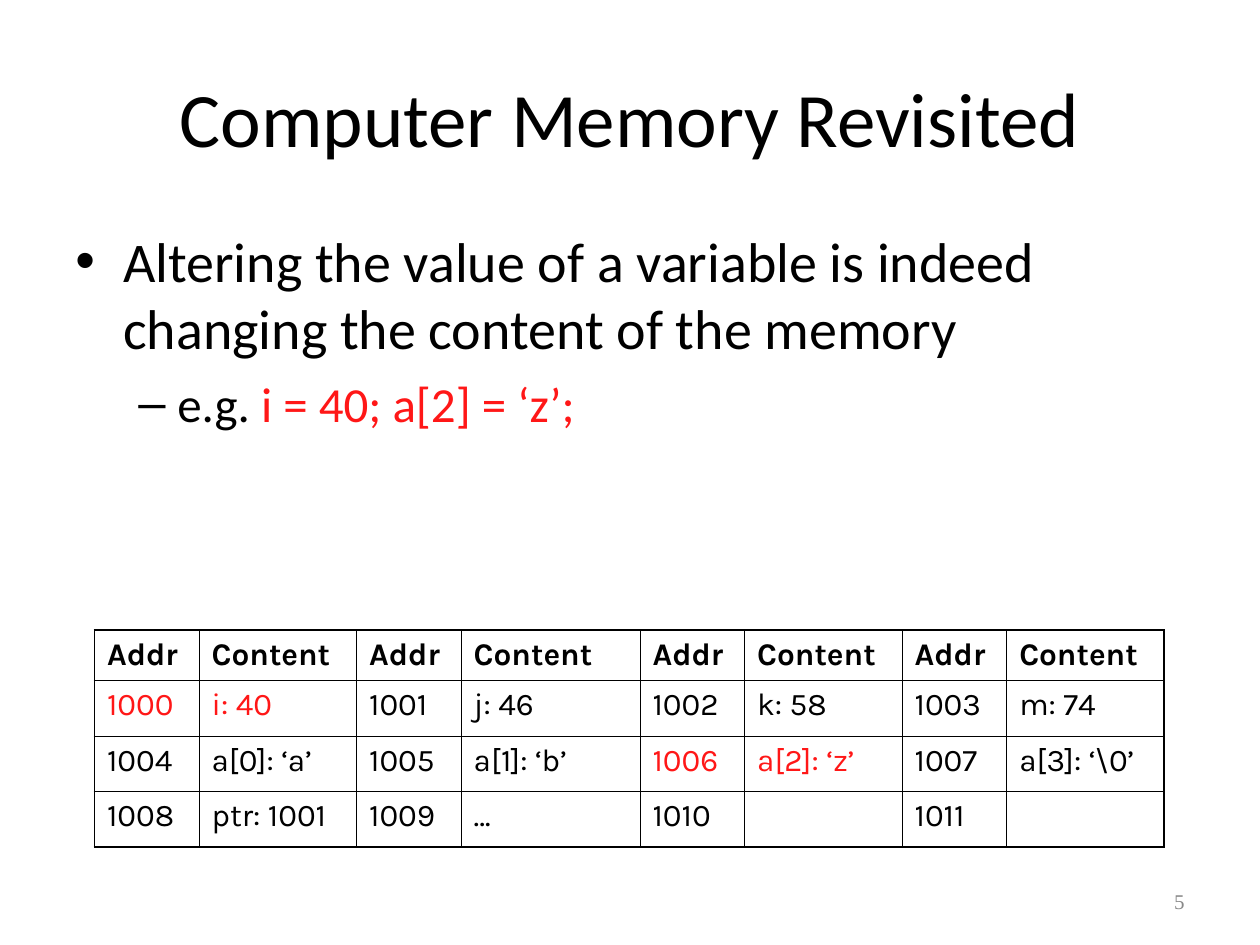
from dataclasses import dataclass
from typing import NamedTuple

from lxml.etree import SubElement
from pptx import Presentation
from pptx.dml.color import RGBColor
from pptx.enum.text import MSO_ANCHOR as Anchor, PP_ALIGN as Align
from pptx.oxml import parse_xml
from pptx.oxml.ns import nsdecls, qn
from pptx.util import Emu, Pt

PX = 9144  # EMU per px, 100 px to the inch


@dataclass(frozen=True)
class Theme:
    ink: str = "000000"
    accent: str = "FF1717"
    muted: str = "898989"
    text_font: str = "Calibri"
    table_font: str = "Karla"
    number_font: str = "Times New Roman"
    title_size: int = 44
    point_size: int = 32
    example_size: int = 28
    table_size: int = 18
    number_size: int = 12
    thick: float = 1.08
    thin: float = 0.45


class Box(NamedTuple):
    left: int
    top: int
    width: int
    height: int


class Bullet(NamedTuple):
    char: str
    level: int
    margin: int
    hang: int


THEME = Theme()
TITLE_BOX = Box(50, 30, 900, 125)
BODY_BOX = Box(50, 175, 900, 495)
NUMBER_BOX = Box(717, 695, 233, 40)
MEMORY_BOX = Box(75, 500, 850, 173)

POINT = Bullet("•", 0, 38, 38)
EXAMPLE = Bullet("–", 1, 81, 31)

# Memory cells in address order; a row of the table shows four of them
FIRST_ADDRESS = 1000
CELLS_PER_ROW = 4
CHANGED = {1000, 1006}
CONTENTS = ["i: 40", "j: 46", "k: 58", "m: 74",
            "a[0]: ‘a’", "a[1]: ‘b’", "a[2]: ‘z’", "a[3]: ‘\\0’",
            "ptr: 1001", "…", "", ""]
COLUMN_WIDTHS = [83, 125, 83, 142, 83, 125, 83, 125]
ROW_HEIGHTS = [40, 44, 44, 44]


def to_emu(box: Box) -> list[Emu]:
    return [Emu(length * PX) for length in box]


def write(paragraph, text: str, *, size: int, font: str = THEME.text_font,
          color: str = THEME.ink, bold: bool = False, align=Align.LEFT) -> None:
    """Append formatted text to a paragraph."""
    paragraph.alignment = align
    run = paragraph.add_run()
    run.text = text
    run.font.size = Pt(size)
    run.font.name = font
    run.font.bold = bold
    run.font.color.rgb = RGBColor.from_string(color)


def add_frame(slide, box: Box, anchor=Anchor.TOP):
    frame = slide.shapes.add_textbox(*to_emu(box)).text_frame
    frame.word_wrap = True
    frame.vertical_anchor = anchor
    return frame


def set_bullet(paragraph, bullet: Bullet) -> None:
    paragraph.level = bullet.level
    props = paragraph._p.get_or_add_pPr()
    props.set("marL", str(bullet.margin * PX))
    props.set("indent", str(-bullet.hang * PX))
    SubElement(SubElement(props, qn("a:buClr")), qn("a:srgbClr"), val=THEME.ink)
    SubElement(props, qn("a:buFont"), typeface="Arial")
    SubElement(props, qn("a:buChar"), char=bullet.char)


def set_borders(cell, **widths: float) -> None:
    """Draw the cell's lines; sides are given in the order L, R, T, B."""
    props = cell._tc.get_or_add_tcPr()
    for position, (side, width) in enumerate(widths.items()):
        props.insert(position, parse_xml(
            f'<a:ln{side} {nsdecls("a")} w="{int(Pt(width))}"><a:solidFill>'
            f'<a:srgbClr val="{THEME.ink}"/></a:solidFill></a:ln{side}>'))


def memory_rows() -> list[list[tuple[str, str, bool]]]:
    """Rows of (text, colour, bold), headings first."""
    rows = [[(name, THEME.ink, True) for name in ("Addr", "Content") * CELLS_PER_ROW]]
    for start in range(0, len(CONTENTS), CELLS_PER_ROW):
        row = []
        for offset in range(start, start + CELLS_PER_ROW):
            address = FIRST_ADDRESS + offset
            color = THEME.accent if address in CHANGED else THEME.ink
            row += [(str(address), color, False), (CONTENTS[offset], color, False)]
        rows.append(row)
    return rows


def add_memory_table(slide, box: Box) -> None:
    rows = memory_rows()
    last_row, last_column = len(ROW_HEIGHTS) - 1, len(COLUMN_WIDTHS) - 1
    table = slide.shapes.add_table(len(rows), len(COLUMN_WIDTHS), *to_emu(box)).table
    table.first_row = table.horz_banding = False
    for column, width in zip(table.columns, COLUMN_WIDTHS):
        column.width = Emu(width * PX)
    for row, height in zip(table.rows, ROW_HEIGHTS):
        row.height = Emu(height * PX)

    def weight(is_thick: bool) -> float:
        return THEME.thick if is_thick else THEME.thin

    for r, row in enumerate(rows):
        for c, (text, color, bold) in enumerate(row):
            cell = table.cell(r, c)
            cell.fill.background()
            set_borders(cell, L=weight(c == 0), R=weight(c == last_column),
                        T=weight(r <= 1), B=weight(r in (0, last_row)))
            if text:
                write(cell.text_frame.paragraphs[0], text, size=THEME.table_size,
                      font=THEME.table_font, color=color, bold=bold)


def main() -> None:
    deck = Presentation()
    deck.slide_width, deck.slide_height = Emu(1000 * PX), Emu(750 * PX)
    slide = deck.slides.add_slide(deck.slide_layouts[5])

    # Title
    title = slide.shapes.title
    title.left, title.top, title.width, title.height = to_emu(TITLE_BOX)
    title.text_frame.vertical_anchor = Anchor.MIDDLE
    write(title.text_frame.paragraphs[0], "Computer Memory Revisited",
          size=THEME.title_size, align=Align.CENTER)

    # Point and its example
    body = add_frame(slide, BODY_BOX)
    point = body.paragraphs[0]
    set_bullet(point, POINT)
    write(point, "Altering the value of a variable is indeed changing "
          "the content of the memory", size=THEME.point_size)
    example = body.add_paragraph()
    set_bullet(example, EXAMPLE)
    example.space_before = Pt(7)
    write(example, "e.g. ", size=THEME.example_size)
    write(example, "i = 40; a[2] = ‘z’;", size=THEME.example_size, color=THEME.accent)

    # Slide number
    number = add_frame(slide, NUMBER_BOX, Anchor.MIDDLE)
    write(number.paragraphs[0], "5", size=THEME.number_size, font=THEME.number_font,
          color=THEME.muted, align=Align.RIGHT)

    # Memory table
    add_memory_table(slide, MEMORY_BOX)

    deck.save("out.pptx")


if __name__ == "__main__":
    main()
